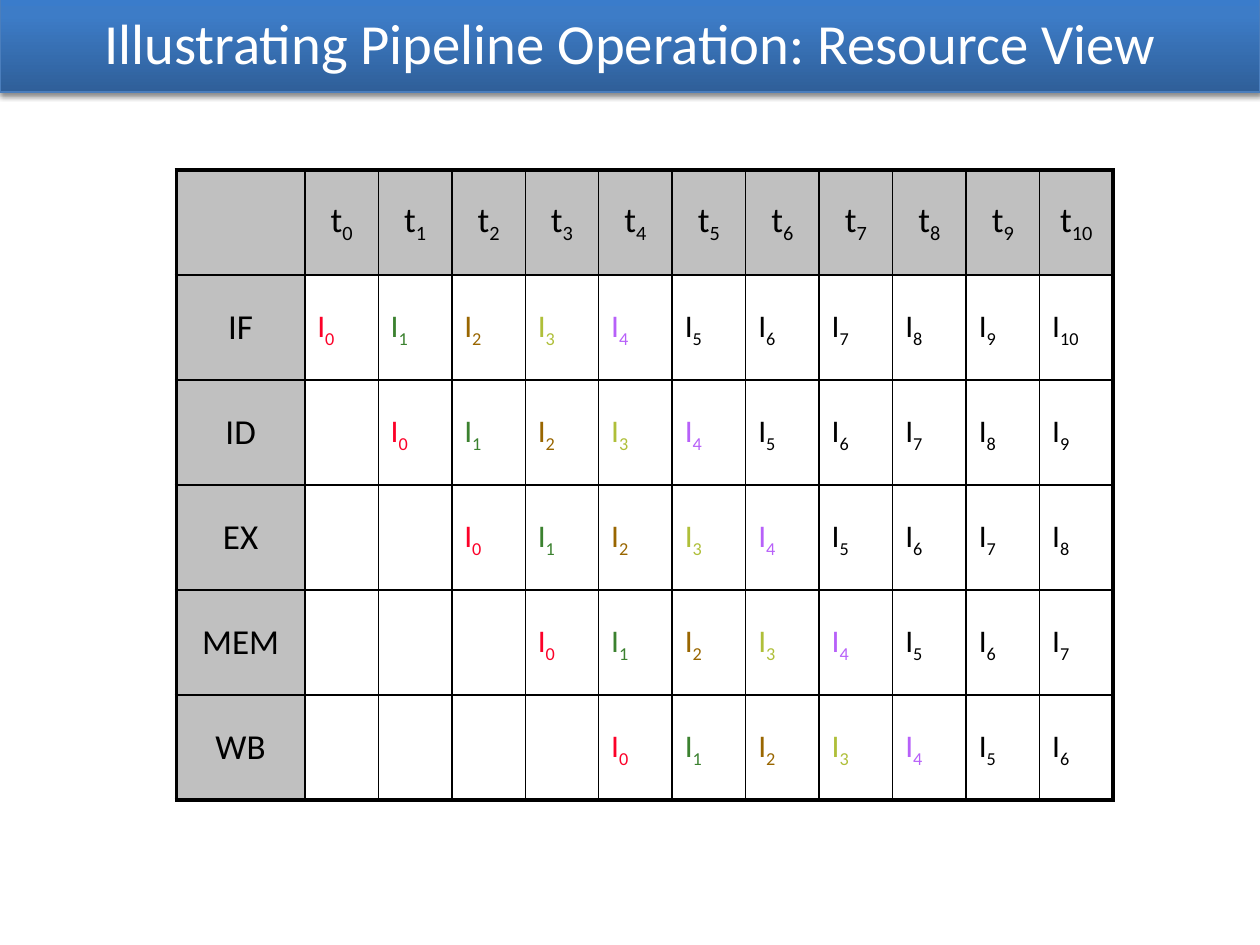
from lxml import etree
from pptx import Presentation
from pptx.dml.color import RGBColor
from pptx.enum.shapes import MSO_CONNECTOR, MSO_SHAPE
from pptx.enum.text import MSO_ANCHOR, PP_ALIGN
from pptx.oxml import parse_xml
from pptx.oxml.ns import qn
from pptx.util import Inches, Pt

RECTANGLE = MSO_SHAPE.RECTANGLE
STRAIGHT = MSO_CONNECTOR.STRAIGHT
MIDDLE = MSO_ANCHOR.MIDDLE
CENTER, LEFT = PP_ALIGN.CENTER, PP_ALIGN.LEFT
DRAWING_NS = "http://schemas.openxmlformats.org/drawingml/2006/main"

TITLE = "Illustrating Pipeline Operation: Resource View"
STAGES = ["IF", "ID", "EX", "MEM", "WB"]
TIME_STEPS = 11
INSTRUCTION_COLORS = ["FC0128", "3B812F", "996600", "AFBF39", "B760F9"]
BAND_STOPS = [(0, "2F5F99"), (80, "3D7CC7"), (100, "3A7CCB")]
BLACK, WHITE, GRAY = "000000", "FFFFFF", "C0C0C0"

TABLE_LEFT, TABLE_TOP = 1.4, 1.35
LABEL_WIDTH = 1.02
STEP_WIDTH, ROW_HEIGHT = 7 / 12, 5 / 6
OUTER_BORDER, INNER_BORDER = 2.25, 1


def rgb(color):
    """Turn a hex string into a colour."""
    return RGBColor.from_string(color)


def add_shadow(shape):
    """Give a shape or connector the soft shadow of the title band."""
    shape.element.spPr.append(parse_xml(
        f'<a:effectLst xmlns:a="{DRAWING_NS}"><a:outerShdw blurRad="40000" dist="23000" '
        'dir="5400000" rotWithShape="0"><a:srgbClr val="000000"><a:alpha val="35000"/>'
        '</a:srgbClr></a:outerShdw></a:effectLst>'))


def write(frame, text, size, color=BLACK, subscript="", align=LEFT):
    """Write one paragraph, with an optional subscript, and return it."""
    para = frame.paragraphs[0]
    para.text = text
    para.alignment = align
    if subscript:
        para.add_run().text = subscript
        para.runs[1].font._element.set("baseline", "-25000")
    for span in para.runs:
        span.font.size = Pt(size)
        span.font.name = "Calibri"
        span.font.color.rgb = rgb(color)
    return para


def add_title_band(page):
    """Draw the gradient band with its rule and put the title on it."""
    rule = page.shapes.add_connector(STRAIGHT, 0, Inches(0.68), Inches(10), Inches(0.68))
    rule.line.color.rgb = rgb("4F81BD")
    rule.line.width = Pt(3)
    add_shadow(rule)

    band = page.shapes.add_shape(RECTANGLE, 0, Inches(-0.03), Inches(10), Inches(0.76))
    band.fill.gradient()
    band.fill.gradient_angle = 90
    stops = band.element.spPr.find(qn("a:gradFill")).find(qn("a:gsLst"))
    for stop in list(stops):
        stops.remove(stop)
    for position, color in BAND_STOPS:
        stop = etree.SubElement(stops, qn("a:gs"), pos=str(position * 1000))
        etree.SubElement(stop, qn("a:srgbClr"), val=color)
    band.line.color.rgb = rgb("4B7EBC")
    band.line.width = Pt(0.75)
    add_shadow(band)

    title = page.shapes.title
    title.left, title.top = 0, Inches(0.02)
    title.width, title.height = Inches(10), Inches(0.63)
    title.text_frame.vertical_anchor = MIDDLE
    write(title.text_frame, TITLE, 32.4, WHITE, align=CENTER)
    page.shapes._spTree.append(title.element)


def add_instruction(shapes, step, stage):
    """Add the instruction that a stage handles at a time step."""
    number = step - stage
    box = shapes.add_shape(
        RECTANGLE,
        Inches(TABLE_LEFT + LABEL_WIDTH + step * STEP_WIDTH),
        Inches(TABLE_TOP + (stage + 1) * ROW_HEIGHT),
        Inches(STEP_WIDTH), Inches(ROW_HEIGHT))
    box.shadow.inherit = False
    box.fill.solid()
    box.fill.fore_color.rgb = rgb(WHITE)
    box.line.fill.background()
    box.text_frame.word_wrap = False
    box.text_frame.vertical_anchor = MIDDLE
    color = INSTRUCTION_COLORS[number] if number < len(INSTRUCTION_COLORS) else BLACK
    write(box.text_frame, "I", 18, color, str(number))


def add_instructions(page):
    """Add the instructions, with one group for each later time step."""
    for step in range(TIME_STEPS):
        shapes = page.shapes.add_group_shape().shapes if step else page.shapes
        for stage in reversed(range(min(step + 1, len(STAGES)))):
            add_instruction(shapes, step, stage)


def set_borders(cell, outer_sides):
    """Draw the cell borders, heavier on the outer sides."""
    properties = cell._tc.get_or_add_tcPr()
    for side in "LRTB":
        width = OUTER_BORDER if side in outer_sides else INNER_BORDER
        line = etree.SubElement(properties, qn(f"a:ln{side}"), w=str(Pt(width)))
        fill = etree.SubElement(line, qn("a:solidFill"))
        etree.SubElement(fill, qn("a:srgbClr"), val=BLACK)


def add_grid(page):
    """Add the table of stages against time steps."""
    rows, columns = len(STAGES) + 1, TIME_STEPS + 1
    table = page.shapes.add_table(
        rows, columns, Inches(TABLE_LEFT), Inches(TABLE_TOP),
        Inches(LABEL_WIDTH + TIME_STEPS * STEP_WIDTH), Inches(rows * ROW_HEIGHT)).table
    table.first_row = table.horz_banding = False
    for index, column in enumerate(table.columns):
        column.width = Inches(STEP_WIDTH if index else LABEL_WIDTH)
    for row in table.rows:
        row.height = Inches(ROW_HEIGHT)

    for row in range(rows):
        for column in range(columns):
            cell = table.cell(row, column)
            edges = {"L": column == 0, "R": column == columns - 1,
                     "T": row == 0, "B": row == rows - 1}
            set_borders(cell, [side for side, outer in edges.items() if outer])
            cell.vertical_anchor = MIDDLE
            if row and column:
                cell.fill.background()
                continue
            cell.fill.solid()
            cell.fill.fore_color.rgb = rgb(GRAY)
            if row or column:
                text, subscript = (STAGES[row - 1], "") if row else ("t", str(column - 1))
                para = write(cell.text_frame, text, 20, subscript=subscript, align=CENTER)
                para.space_before = Pt(4)


deck = Presentation()
deck.slide_width, deck.slide_height = Inches(10), Inches(7.5)
page = deck.slides.add_slide(deck.slide_layouts[5])
add_title_band(page)
add_instructions(page)
add_grid(page)
deck.save("out.pptx")
